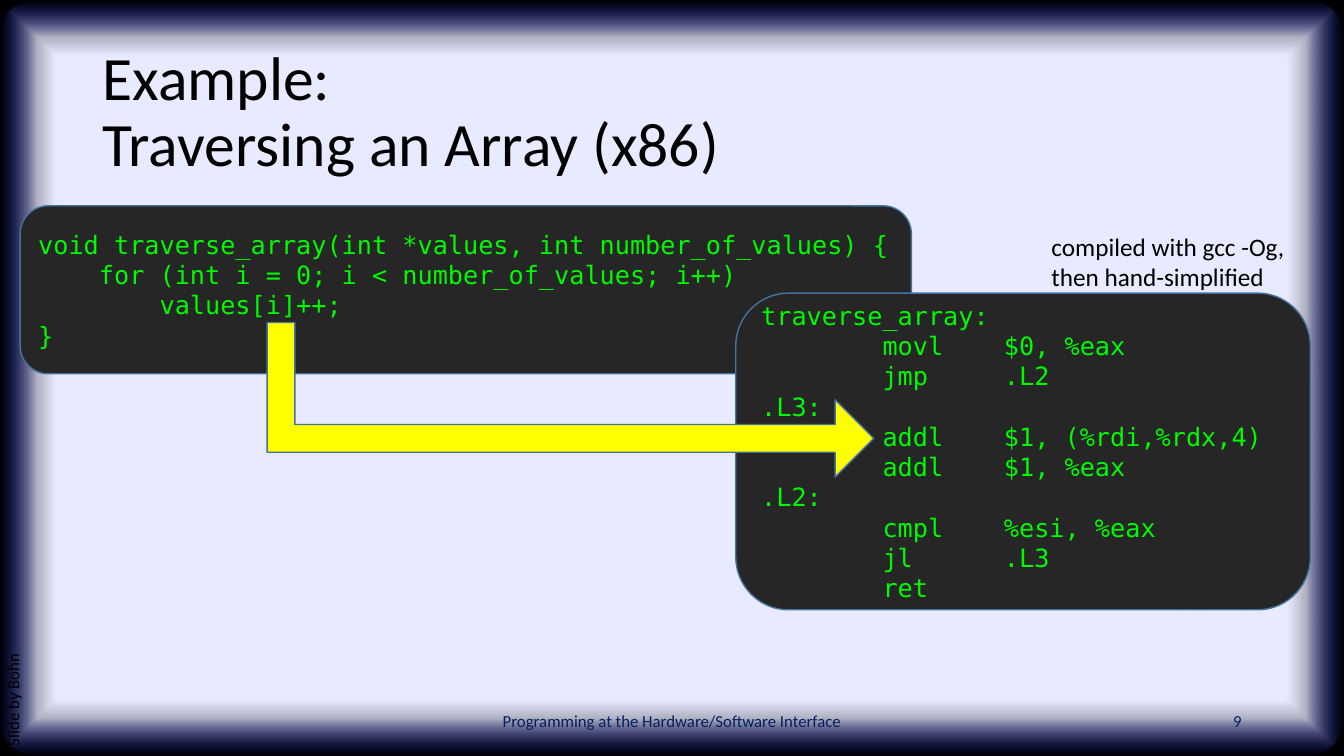
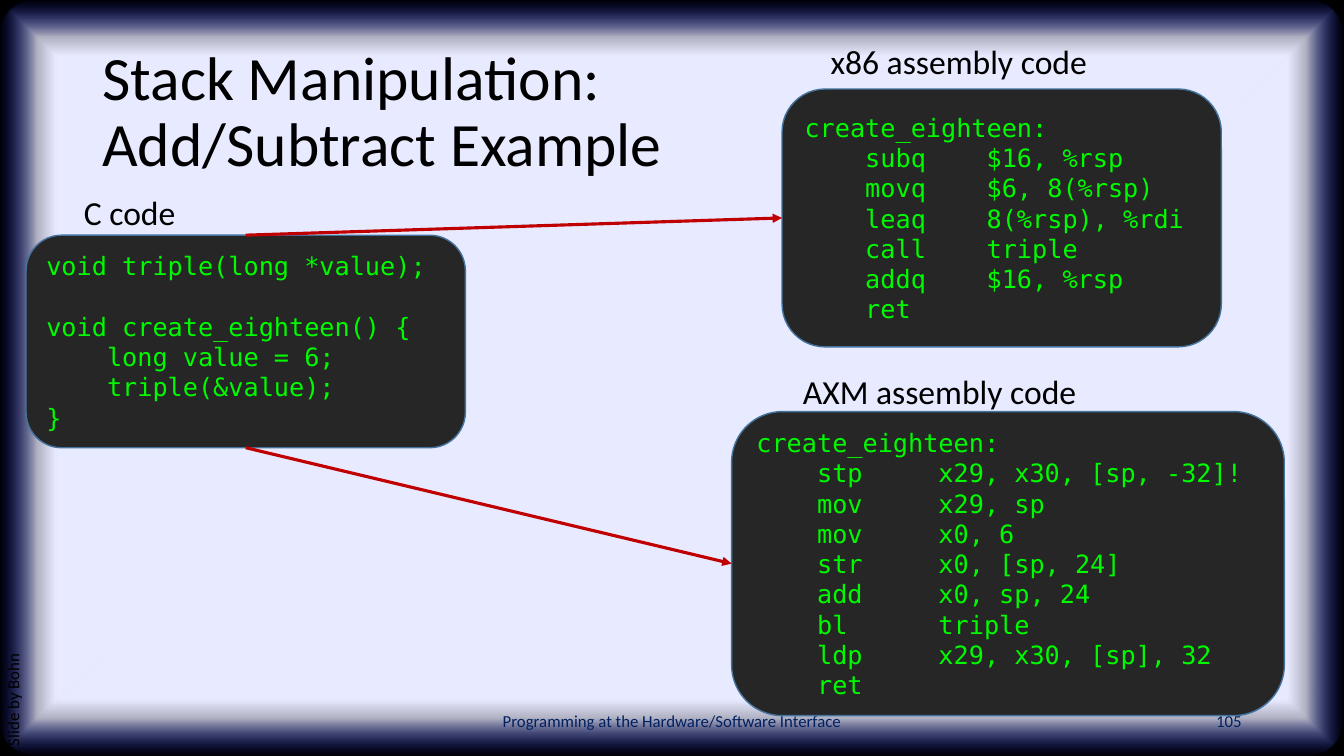
"""Build two slides that trace C code to the assembly code compiled from it."""

import lxml.etree
import pptx
import pptx.dml.color
import pptx.enum.shapes
import pptx.enum.text
import pptx.oxml
import pptx.oxml.ns
import pptx.util

RGBColor = pptx.dml.color.RGBColor
BLACK = RGBColor(0x00, 0x00, 0x00)
NAVY = RGBColor(0x00, 0x20, 0x60)
PALE = RGBColor(0xE8, 0xEA, 0xFF)
BLUE = RGBColor(0x16, 0x2A, 0xFF)
CHARCOAL = RGBColor(0x26, 0x26, 0x26)
STEEL = RGBColor(0x43, 0x73, 0x9E)
GREEN = RGBColor(0x00, 0xFA, 0x00)
YELLOW = RGBColor(0xFF, 0xFF, 0x00)
RED = RGBColor(0xC0, 0x00, 0x00)

SHAPES = pptx.enum.shapes.MSO_SHAPE
ALIGN = pptx.enum.text.PP_ALIGN
ANCHOR = pptx.enum.text.MSO_ANCHOR
BODY_FONT = "Calibri"
CODE_FONT = "DejaVu Sans Mono"
COLUMNS, ROWS = 160, 90

presentation = pptx.Presentation()
presentation.slide_width = pptx.util.Inches(13.33)
presentation.slide_height = pptx.util.Inches(7.5)
column = presentation.slide_width / COLUMNS
row = presentation.slide_height / ROWS


def add_box(slide, place, preset=None, fill=None, line=None):
    """Add a preset shape, or a text box when there is no preset, on the grid."""
    left, top, width, height = place
    box = [round(length) for length in (left * column, top * row, width * column, height * row)]
    if preset is None:
        return slide.shapes.add_textbox(*box)
    shape = slide.shapes.add_shape(preset, *box)
    shape.shadow.inherit = False
    shape.fill.solid()
    shape.fill.fore_color.rgb = fill
    if line is None:
        shape.line.fill.background()
    else:
        shape.line.color.rgb = line
        shape.line.width = pptx.util.Pt(1)
    return shape


def write(shape, text, size, color=BLACK, font=BODY_FONT, align=ALIGN.LEFT,
          anchor=ANCHOR.MIDDLE, spacing=None, wrap=True):
    """Fill a shape with evenly formatted text."""
    frame = shape.text_frame
    frame.text = text
    frame.word_wrap = wrap
    frame.vertical_anchor = anchor
    for paragraph in frame.paragraphs:
        paragraph.alignment = align
        paragraph.line_spacing = spacing
        for run in paragraph.runs:
            run.font.size = pptx.util.Pt(size)
            run.font.name = font
            run.font.color.rgb = color


GLOW_STOPS = [(85, PALE, 100), (90, PALE, 75), (100, BLUE, 0)]
glow_xml = "".join(
    f'<a:gs pos="{position * 1000}"><a:srgbClr val="{color}">'
    f'<a:alpha val="{opacity * 1000}"/></a:srgbClr></a:gs>'
    for position, color, opacity in GLOW_STOPS)
glow_xml = (
    f'<a:gradFill {pptx.oxml.ns.nsdecls("a")} rotWithShape="1"><a:gsLst>{glow_xml}</a:gsLst>'
    '<a:path path="shape"><a:fillToRect l="50000" t="50000" r="50000" b="50000"/></a:path>'
    '</a:gradFill>')

TRAVERSE_C = """void traverse_array(int *values, int number_of_values) {
    for (int i = 0; i < number_of_values; i++)
        values[i]++;
}"""

TRAVERSE_X86 = """traverse_array:
        movl    $0, %eax
        jmp     .L2
.L3:
        addl    $1, (%rdi,%rdx,4)
        addl    $1, %eax
.L2:
        cmpl    %esi, %eax
        jl      .L3
        ret"""

EIGHTEEN_C = """void triple(long *value);

void create_eighteen() {
    long value = 6;
    triple(&value);
}"""

EIGHTEEN_X86 = """create_eighteen:
    subq    $16, %rsp
    movq    $6, 8(%rsp)
    leaq    8(%rsp), %rdi
    call    triple
    addq    $16, %rsp
    ret"""

EIGHTEEN_AXM = """create_eighteen:
    stp     x29, x30, [sp, -32]!
    mov     x29, sp
    mov     x0, 6
    str     x0, [sp, 24]
    add     x0, sp, 24
    bl      triple
    ldp     x29, x30, [sp], 32
    ret"""

SLIDES = [
    ("Example:\vTraversing an Array (x86)", "9",
     [(TRAVERSE_C, (2.4, 24.5, 106.1, 20)),
      (TRAVERSE_X86, (87.6, 34.9, 68.4, 37.7))],
     [("compiled with gcc -Og,\nthen hand-simplified", 18, (124, 26.9, 30.5, 8.5))]),
    ("Stack Manipulation:\vAdd/Subtract Example", "105",
     [(EIGHTEEN_C, (3.1, 28, 52.3, 25.3)),
      (EIGHTEEN_X86, (93.1, 10.6, 52.3, 30.7)),
      (EIGHTEEN_AXM, (87.1, 49, 65.8, 36.2))],
     [("C code", 24, (8.8, 22.2, 13.4, 6)),
      ("x86 assembly code", 24, (97.7, 4.3, 33.2, 6)),
      ("AXM assembly code", 24, (94.4, 43.6, 35.4, 6))]),
]

FULL_SLIDE = (0, 0, COLUMNS, ROWS)
built = []
for title, number, codes, labels in SLIDES:
    slide = presentation.slides.add_slide(presentation.slide_layouts[6])
    add_box(slide, FULL_SLIDE, SHAPES.RECTANGLE, BLACK)
    glow = add_box(slide, FULL_SLIDE, SHAPES.ROUNDED_RECTANGLE, PALE)
    glow.adjustments[0] = 0.05
    properties = glow.element.spPr
    properties.replace(properties.find(pptx.oxml.ns.qn("a:solidFill")),
                       pptx.oxml.parse_xml(glow_xml))

    write(add_box(slide, (11, 4.8, 138, 17.4)), title, 44, spacing=0.9)
    write(add_box(slide, (53, 83.4, 54, 4.8)),
          "Programming at the Hardware/Software Interface", 12, NAVY, align=ALIGN.CENTER)
    write(add_box(slide, (113, 83.4, 36, 4.8)), number, 12, NAVY, align=ALIGN.RIGHT)
    credit = add_box(slide, (-29.3, 55.9, 63.4, 4.8))
    credit.rotation = 270
    write(credit, "Slide by Bohn", 12, anchor=ANCHOR.TOP, spacing=0.9)

    panels = []
    for code, place in codes:
        panel = add_box(slide, place, SHAPES.ROUNDED_RECTANGLE, CHARCOAL, STEEL)
        write(panel, code, 18, GREEN, CODE_FONT)
        panels.append(panel)
    for label, size, place in labels:
        write(add_box(slide, place), label, size, anchor=ANCHOR.TOP, wrap=False)
    built.append((slide, panels))

(traverse_slide, _), (stack_slide, (c_panel, x86_panel, axm_panel)) = built

bent_arrow = add_box(traverse_slide, (58.7, 11.5, 18.4, 72.2), SHAPES.BENT_UP_ARROW, YELLOW, STEEL)
bent_arrow.rotation = 90
for index, share in enumerate((0.18, 0.25, 0.25)):
    bent_arrow.adjustments[index] = share

TOP_SITE, LEFT_SITE, BOTTOM_SITE = 0, 1, 2
for start_site, target in ((TOP_SITE, x86_panel), (BOTTOM_SITE, axm_panel)):
    connector = stack_slide.shapes.add_connector(
        pptx.enum.shapes.MSO_CONNECTOR.STRAIGHT, 0, 0, 0, 0)
    connector.begin_connect(c_panel, start_site)
    connector.end_connect(target, LEFT_SITE)
    connector.line.color.rgb = RED
    connector.line.width = pptx.util.Pt(2.25)
    lxml.etree.SubElement(connector.line._get_or_add_ln(),
                          pptx.oxml.ns.qn("a:tailEnd"), type="triangle")
    lxml.etree.SubElement(connector.element.spPr, pptx.oxml.ns.qn("a:effectLst"))

presentation.save("out.pptx")
